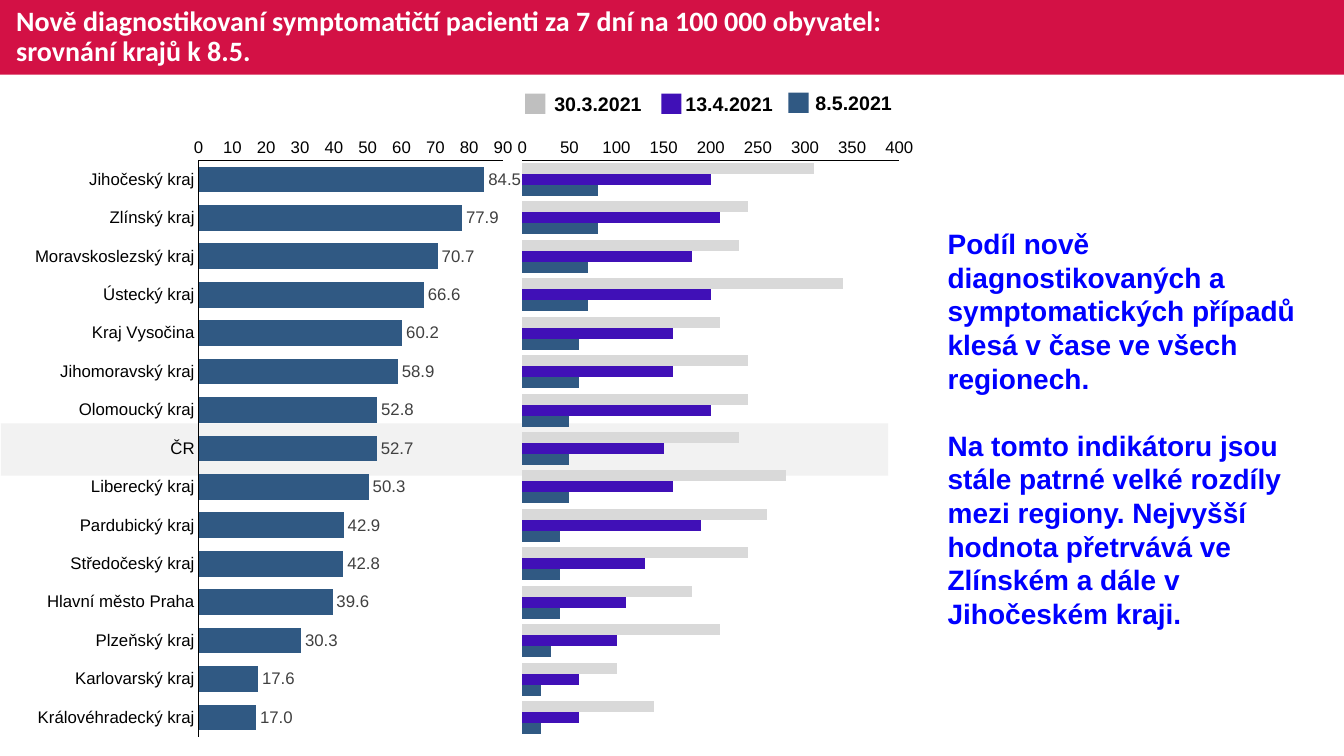
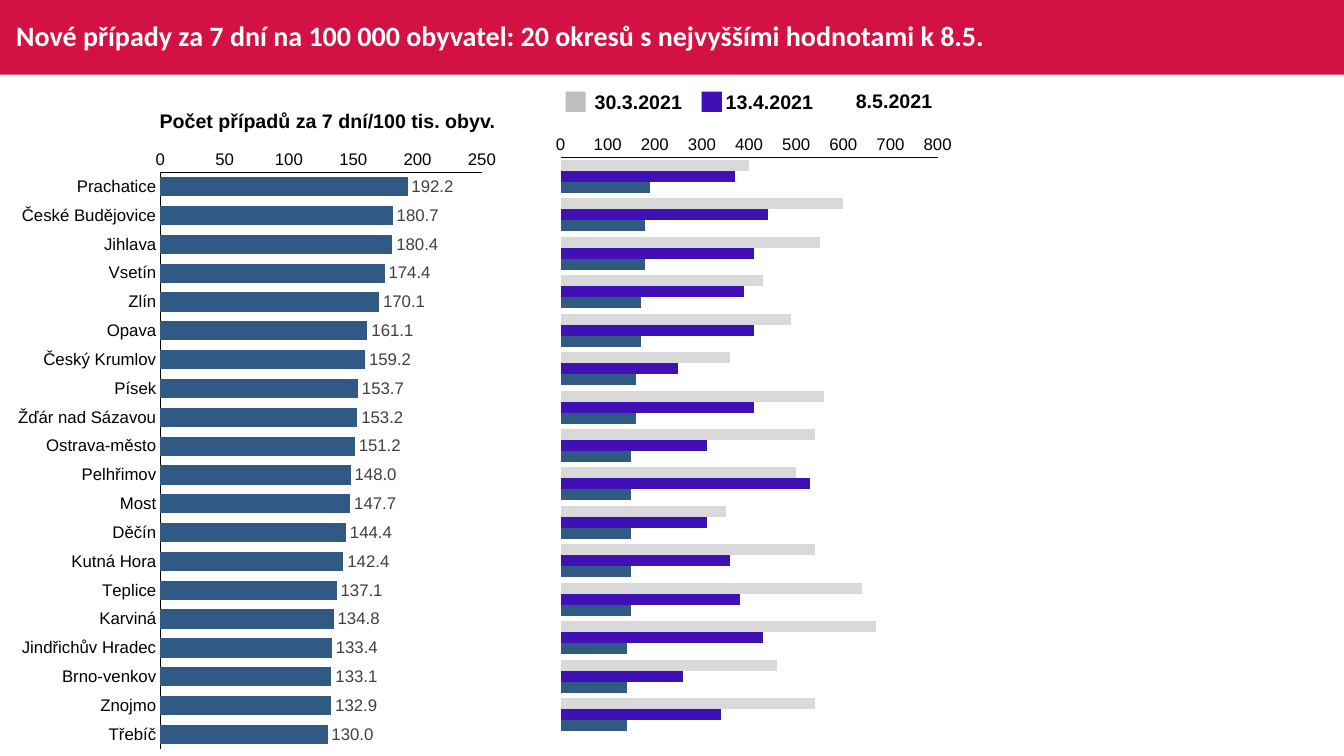
from dataclasses import dataclass

from pptx import Presentation
from pptx.chart.data import CategoryChartData
from pptx.dml.color import RGBColor
from pptx.enum.chart import XL_CHART_TYPE, XL_LABEL_POSITION, XL_TICK_MARK
from pptx.enum.shapes import MSO_SHAPE
from pptx.enum.text import MSO_ANCHOR, MSO_AUTO_SIZE, PP_ALIGN
from pptx.oxml import parse_xml
from pptx.oxml.ns import nsdecls, qn
from pptx.util import Inches, Pt


@dataclass(frozen=True)
class Theme:
    band: str = "D31145"
    white: str = "FFFFFF"
    black: str = "000000"
    march: str = "D9D9D9"
    march_key: str = "BFBFBF"
    april: str = "4010B7"
    may: str = "305983"
    highlight: str = "F2F2F2"
    label: str = "404040"
    comment: str = "0000FF"
    title_font: str = "Calibri"
    body_font: str = "Arial"
    title_size: int = 20
    comment_size: int = 20
    comment_line: int = 24
    key_size: int = 14
    axis_size: int = 12


THEME = Theme()
SLIDE_WIDTH, SLIDE_HEIGHT = 13.33, 7.5
BAND_HEIGHT = 0.74
PLOT_HEIGHT = 5.72
CHART_HEIGHT = 6.19
KEY_SIDE = 0.2

DATES = ["30.3.2021", "13.4.2021", "8.5.2021"]
KEYS = [
    (DATES[0], THEME.march_key, 5.21, 5.4, 1.07, 0.93),
    (DATES[1], THEME.april, 6.56, 6.7, 1.07, 0.93),
    (DATES[2], THEME.may, 7.82, 7.99, 0.96, 0.92),
]
RANKS = [str(rank) for rank in range(1, 16)]

REGIONS = {
    "Jihočeský kraj": 84.5,
    "Zlínský kraj": 77.9,
    "Moravskoslezský kraj": 70.7,
    "Ústecký kraj": 66.6,
    "Kraj Vysočina": 60.2,
    "Jihomoravský kraj": 58.9,
    "Olomoucký kraj": 52.8,
    "ČR": 52.7,
    "Liberecký kraj": 50.3,
    "Pardubický kraj": 42.9,
    "Středočeský kraj": 42.8,
    "Hlavní město Praha": 39.6,
    "Plzeňský kraj": 30.3,
    "Karlovarský kraj": 17.6,
    "Královéhradecký kraj": 17.0,
}
REGION_TREND = [
    [310, 240, 230, 340, 210, 240, 240, 230, 280, 260, 240, 180, 210, 100, 140],
    [200, 210, 180, 200, 160, 160, 200, 150, 160, 190, 130, 110, 100, 60, 60],
    [80, 80, 70, 70, 60, 60, 50, 50, 50, 40, 40, 40, 30, 20, 20],
]
DISTRICTS = {
    "Prachatice": 192.2,
    "České Budějovice": 180.7,
    "Jihlava": 180.4,
    "Vsetín": 174.4,
    "Zlín": 170.1,
    "Opava": 161.1,
    "Český Krumlov": 159.2,
    "Písek": 153.7,
    "Žďár nad Sázavou": 153.2,
    "Ostrava-město": 151.2,
    "Pelhřimov": 148.0,
    "Most": 147.7,
    "Děčín": 144.4,
    "Kutná Hora": 142.4,
    "Teplice": 137.1,
    "Karviná": 134.8,
    "Jindřichův Hradec": 133.4,
    "Brno-venkov": 133.1,
    "Znojmo": 132.9,
    "Třebíč": 130.0,
}
DISTRICT_TREND = [
    [400, 600, 550, 430, 490, 360, 560, 540, 500, 350, 540, 640, 670, 460, 540],
    [370, 440, 410, 390, 410, 250, 410, 310, 530, 310, 360, 380, 430, 260, 340],
    [190, 180, 180, 170, 170, 160, 160, 150, 150, 150, 150, 150, 140, 140, 140],
]
REGION_TITLE = (
    "Nově diagnostikovaní symptomatičtí pacienti za 7 dní na 100 000 obyvatel:\v"
    "srovnání krajů k 8.5."
)
DISTRICT_TITLE = (
    "Nové případy za 7 dní na 100 000 obyvatel: 20 okresů s nejvyššími hodnotami k 8.5."
)
COMMENTS = [
    "Podíl nově diagnostikovaných a symptomatických případů klesá v čase ve všech regionech.",
    "Na tomto indikátoru jsou stále patrné velké rozdíly mezi regiony. "
    "Nejvyšší hodnota přetrvává ve Zlínském a dále v Jihočeském kraji.",
]


def rgb(color):
    return RGBColor.from_string(color)


def set_font(font, size, color, name=THEME.body_font, bold=False):
    font.name = name
    font.size = Pt(size)
    font.bold = bold
    font.color.rgb = rgb(color)


def add_text(slide, area, paragraphs, size=THEME.key_size, color=THEME.black,
             wrap=False, align=PP_ALIGN.LEFT, line=None, gap=0):
    box = slide.shapes.add_textbox(*map(Inches, area))
    frame = box.text_frame
    frame.word_wrap = wrap
    frame.auto_size = MSO_AUTO_SIZE.SHAPE_TO_FIT_TEXT
    for index, text in enumerate(paragraphs):
        para = frame.paragraphs[0] if index == 0 else frame.add_paragraph()
        para.alignment = align
        if line:
            para.line_spacing = Pt(line)
        if index and gap:
            para.space_before = Pt(gap)
        span = para.add_run()
        span.text = text
        set_font(span.font, size, color, bold=True)
    return box


def add_rectangle(slide, area, color):
    box = slide.shapes.add_shape(MSO_SHAPE.RECTANGLE, *map(Inches, area))
    box.shadow.inherit = False
    box.fill.solid()
    box.fill.fore_color.rgb = rgb(color)
    box.line.fill.background()
    return box


def add_page(deck, layout, title, width):
    page = deck.slides.add_slide(layout)
    box = page.shapes.title
    box.left, box.top = Inches(0.06), Inches(0)
    box.width, box.height = Inches(width), Inches(BAND_HEIGHT)
    frame = box.text_frame
    frame.text = title
    frame.word_wrap = True
    frame.auto_size = MSO_AUTO_SIZE.NONE
    frame.vertical_anchor = MSO_ANCHOR.MIDDLE
    para = frame.paragraphs[0]
    para.alignment = PP_ALIGN.LEFT
    para.line_spacing = 0.9
    for span in para.runs:
        set_font(span.font, THEME.title_size, THEME.white, THEME.title_font, True)
    return page


def add_band(page, layout):
    band = add_rectangle(page, (0, 0, SLIDE_WIDTH, BAND_HEIGHT), THEME.band)
    layout.shapes._spTree.insert(2, band._element)


def add_keys(slide, shift=0, drop=0, swatches=3):
    for index, (date, color, left, text_left, width, top) in enumerate(KEYS):
        if index < swatches:
            add_rectangle(slide, (left + shift, top - drop, KEY_SIDE, KEY_SIDE), color)
        add_text(slide, (text_left + shift, top - drop - 0.07, width, 0.34), [date])


def place_plot(chart, area, plot):
    left, top, width, height = area
    plot_left, plot_top, plot_width = plot
    fractions = {
        "x": (plot_left - left) / width,
        "y": (plot_top - top) / height,
        "w": plot_width / width,
        "h": PLOT_HEIGHT / height,
    }
    modes = "".join(f'<c:{side}Mode val="edge"/>' for side in "xy")
    sizes = "".join(f'<c:{side} val="{value:.4f}"/>' for side, value in fractions.items())
    plot_area = chart._chartSpace.chart.plotArea
    for old in plot_area.findall(qn("c:layout")):
        plot_area.remove(old)
    plot_area.insert(0, parse_xml(
        f'<c:layout {nsdecls("c")}><c:manualLayout><c:layoutTarget val="inner"/>'
        f"{modes}{sizes}</c:manualLayout></c:layout>"
    ))


def clear_background(chart):
    clear = f'<c:spPr {nsdecls("c", "a")}><a:noFill/><a:ln><a:noFill/></a:ln></c:spPr>'
    chart_part = chart._chartSpace.chart
    chart_part.plotArea.append(parse_xml(clear))
    chart_part.addnext(parse_xml(clear))


def format_axis(axis):
    axis.has_major_gridlines = False
    axis.major_tick_mark = axis.minor_tick_mark = XL_TICK_MARK.NONE
    axis.format.line.color.rgb = rgb(THEME.black)
    axis.format.line.width = Pt(0.75)
    set_font(axis.tick_labels.font, THEME.axis_size, THEME.black)


def add_bars(slide, area, plot, categories, series, colors, maximum, step, ranking=False):
    data = CategoryChartData()
    data.categories = categories
    for name, values in series:
        data.add_series(name, values)
    chart = slide.shapes.add_chart(
        XL_CHART_TYPE.BAR_CLUSTERED, *map(Inches, area), data
    ).chart
    chart.has_title = chart.has_legend = False
    set_font(chart.font, 10, THEME.black)
    bars = chart.plots[0]
    bars.gap_width, bars.overlap = 50, 0
    bars.vary_by_categories = False
    for item, color in zip(bars.series, colors):
        item.format.fill.solid()
        item.format.fill.fore_color.rgb = rgb(color)
    format_axis(chart.category_axis)
    chart.category_axis.reverse_order = True
    chart.category_axis.visible = ranking
    axis = chart.value_axis
    format_axis(axis)
    axis.minimum_scale, axis.maximum_scale, axis.major_unit = 0, maximum, step
    axis.tick_labels.number_format = "#,##0"
    axis.tick_labels.number_format_is_linked = False
    if ranking:
        bars.has_data_labels = True
        labels = bars.data_labels
        labels.show_value = True
        labels.position = XL_LABEL_POSITION.OUTSIDE_END
        labels.number_format = "#,##0.0"
        labels.number_format_is_linked = False
        set_font(labels.font, THEME.axis_size, THEME.label)
    place_plot(chart, area, plot)
    clear_background(chart)


def add_ranking(slide, left, top, plot, values, maximum, step):
    add_bars(slide, (left, top, 4.94, CHART_HEIGHT), plot, list(values),
             [(DATES[-1], list(values.values()))], [THEME.may], maximum, step, ranking=True)


def add_trend(slide, left, top, plot, values, maximum, step):
    add_bars(slide, (left, top, 4.09, CHART_HEIGHT), plot, RANKS, zip(DATES, values),
             [THEME.march, THEME.april, THEME.may], maximum, step)


def main():
    deck = Presentation()
    deck.slide_width, deck.slide_height = Inches(SLIDE_WIDTH), Inches(SLIDE_HEIGHT)
    layout = deck.slide_layouts[5]

    regions = add_page(deck, layout, REGION_TITLE, 13.06)
    add_band(regions, layout)
    add_keys(regions)
    add_rectangle(regions, (0.01, 4.2, 8.8, 0.52), THEME.highlight)
    add_trend(regions, 5.05, 1.25, (5.18, 1.59, 3.74), REGION_TREND, 400, 50)
    add_ranking(regions, 0.25, 1.25, (1.97, 1.59, 3.02), REGIONS, 90, 10)
    add_text(regions, (9.3, 2.2, 3.82, 4.14), COMMENTS, size=THEME.comment_size,
             color=THEME.comment, wrap=True, line=THEME.comment_line, gap=THEME.comment_line)

    districts = add_page(deck, layout, DISTRICT_TITLE, 12.01)
    add_ranking(districts, 0.08, 1.37, (1.59, 1.71, 3.19), DISTRICTS, 250, 50)
    add_text(districts, (1.48, 1.03, 3.54, 0.34), ["Počet případů za 7 dní/100 tis. obyv."],
             align=PP_ALIGN.CENTER)
    add_keys(districts, shift=0.4, drop=0.02, swatches=2)
    add_trend(districts, 5.43, 1.22, (5.56, 1.56, 3.74), DISTRICT_TREND, 800, 100)

    deck.save("out.pptx")


if __name__ == "__main__":
    main()
